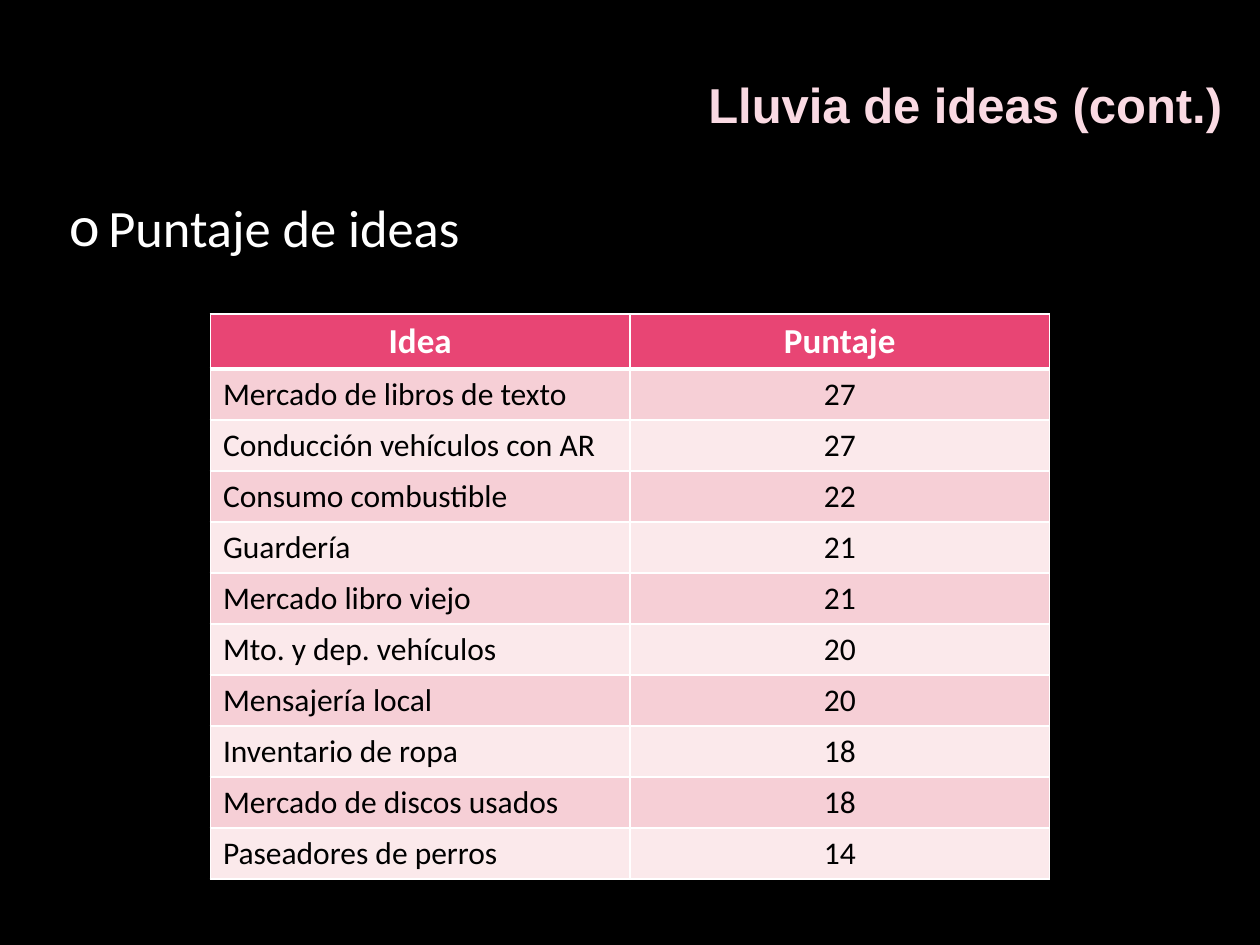
import pptx
import pptx.dml.color
import pptx.enum.text
import pptx.oxml
import pptx.oxml.ns
import pptx.util
from pptx.util import Inches

ALIGN = pptx.enum.text.PP_ALIGN
WHITE = "FFFFFF"
NAMESPACE = pptx.oxml.ns.nsdecls("a")
IDEAS = [
    ("Mercado de libros de texto", 27),
    ("Conducción vehículos con AR", 27),
    ("Consumo combustible", 22),
    ("Guardería", 21),
    ("Mercado libro viejo", 21),
    ("Mto. y dep. vehículos", 20),
    ("Mensajería local", 20),
    ("Inventario de ropa", 18),
    ("Mercado de discos usados", 18),
    ("Paseadores de perros", 14),
]


def color(value):
    return pptx.dml.color.RGBColor.from_string(value)


def write(text_frame, text, size, text_color, font="Calibri", bold=False, align=ALIGN.LEFT):
    """Fill the frame with one formatted paragraph and return that paragraph."""
    text_frame.text = text
    paragraph = text_frame.paragraphs[0]
    paragraph.alignment = align
    run_font = paragraph.runs[0].font
    run_font.name = font
    run_font.size = pptx.util.Pt(size)
    run_font.bold = bold
    run_font.color.rgb = color(text_color)
    return paragraph


presentation = pptx.Presentation()
presentation.slide_width = Inches(10)
presentation.slide_height = Inches(7.5)
slide = presentation.slides.add_slide(presentation.slide_layouts[6])
slide.background.fill.solid()
slide.background.fill.fore_color.rgb = color("000000")

# Title and bullet
title = slide.shapes.add_textbox(Inches(0.25), Inches(0.5), Inches(9.5), Inches(0.5))
body = slide.shapes.add_textbox(Inches(0.5), Inches(1.5), Inches(9), Inches(5.75))
for shape in (title, body):
    frame = shape.text_frame
    frame.word_wrap = True
    frame.margin_left = frame.margin_right = Inches(0.05)
    frame.margin_top = frame.margin_bottom = Inches(0.05)
title.text_frame.margin_top = Inches(0.09)
write(title.text_frame, "Lluvia de ideas (cont.)", 28, "FADAE3", "Arial", True, ALIGN.RIGHT)

paragraph = write(body.text_frame, "Puntaje de ideas", 30, WHITE)
paragraph.space_after = pptx.util.Pt(18)
properties = paragraph._p.get_or_add_pPr()
properties.set("marL", str(Inches(0.31)))
properties.set("indent", str(Inches(-0.31)))
for bullet in (
    f'<a:buClr {NAMESPACE}><a:srgbClr val="{WHITE}"/></a:buClr>',
    f'<a:buSzPct {NAMESPACE} val="110000"/>',
    f'<a:buFont {NAMESPACE} typeface="Calibri"/>',
    f'<a:buChar {NAMESPACE} char="o"/>',
):
    properties.append(pptx.oxml.parse_xml(bullet))

# Score table
rows = [("Idea", "Puntaje")] + IDEAS
table = slide.shapes.add_table(
    len(rows), 2, Inches(1.67), Inches(2.49), Inches(6.67), Inches(4.49)
).table
for column in table.columns:
    column.width = Inches(3.33)
for row_index, values in enumerate(rows):
    header = row_index == 0
    table.rows[row_index].height = Inches(0.44 if header else 0.405)
    fill = "E84574" if header else ("FBE9EB", "F6CFD6")[row_index % 2]
    for column_index, value in enumerate(values):
        cell = table.cell(row_index, column_index)
        centered = header or column_index == 1
        write(
            cell.text_frame,
            str(value),
            20 if header else 18,
            WHITE if header else "000000",
            bold=header,
            align=ALIGN.CENTER if centered else ALIGN.LEFT,
        )
        cell_properties = cell._tc.get_or_add_tcPr()
        for side in "LRTB":
            thick = (side == "B" and header) or (side == "T" and row_index == 1)
            width = pptx.util.Pt(3 if thick else 1)
            cell_properties.append(pptx.oxml.parse_xml(
                f'<a:ln{side} {NAMESPACE} w="{width}"><a:solidFill>'
                f'<a:srgbClr val="{WHITE}"/></a:solidFill></a:ln{side}>'
            ))
        cell.fill.solid()
        cell.fill.fore_color.rgb = color(fill)

presentation.save("out.pptx")
